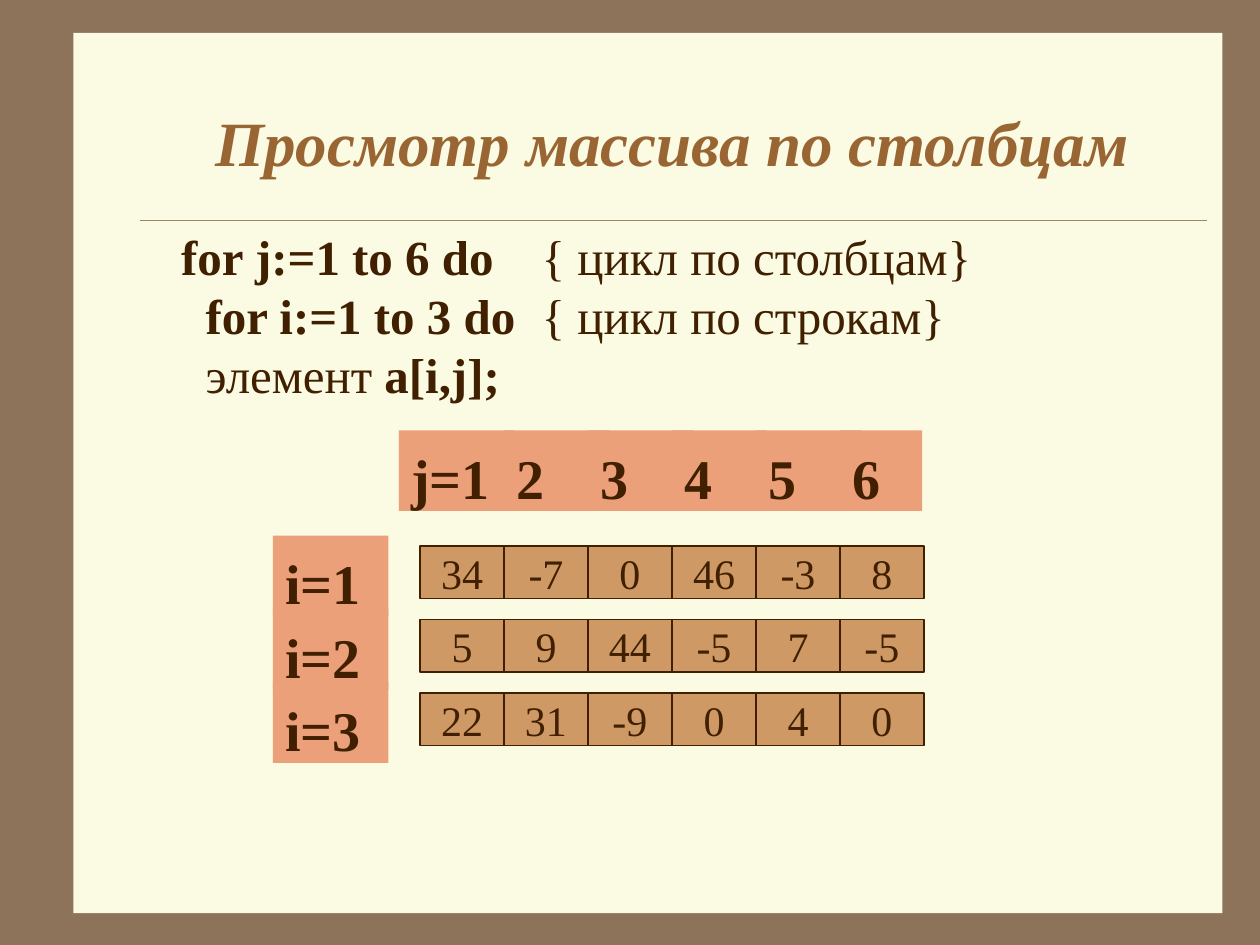
from lxml import etree
from pptx import Presentation
from pptx.dml.color import RGBColor
from pptx.enum import shapes, text
from pptx.oxml import ns
from pptx.util import Pt

COLORS = {"frame": "8C735A", "page": "FBFAE2", "rule": "A08366", "title": "996633",
          "ink": "402000", "cell": "CE9964", "label": "ECA07A"}
FONT = "Times New Roman"
MATRIX = [[34, -7, 0, 46, -3, 8], [5, 9, 44, -5, 7, -5], [22, 31, -9, 0, 4, 0]]
CODE = [
    [("for j:=1 to 6 do", True), ("\t{ цикл по столбцам}", False)],
    [("  for i:=1 to 3 do", True), ("\t{ цикл по строкам}", False)],
    [("  элемент", False), (" a[i,j];", True)],
]


def rgb(name):
    """Return the named palette colour."""
    return RGBColor.from_string(COLORS[name])


def style(font, size, color="ink", bold=False, italic=False):
    """Apply the slide's typeface with the given size and look."""
    font.name, font.size, font.bold, font.italic = FONT, Pt(size), bold, italic
    font.color.rgb = rgb(color)


def add_box(slide, left, top, width, height, fill, line=None):
    """Add a flat rectangle with an optional thin outline."""
    box = slide.shapes.add_shape(shapes.MSO_SHAPE.RECTANGLE,
                                 Pt(left), Pt(top), Pt(width), Pt(height))
    box.shadow.inherit = False
    box.fill.solid()
    box.fill.fore_color.rgb = rgb(fill)
    if line:
        box.line.color.rgb = rgb(line)
        box.line.width = Pt(0.75)
    else:
        box.line.fill.background()
    return box


def add_page(slide, left, top, width, height):
    """Draw the framed page and the rule below its title."""
    slide.background.fill.solid()
    slide.background.fill.fore_color.rgb = rgb("frame")
    add_box(slide, left, top, width, height, "page")
    rule = slide.shapes.add_connector(shapes.MSO_CONNECTOR.STRAIGHT, Pt(left + 38), Pt(top + 107.2),
                                      Pt(left + 648), Pt(top + 107.2))
    rule.line.color.rgb = rgb("rule")
    rule.line.width = Pt(0.25)
    etree.SubElement(rule._element.spPr, ns.qn("a:effectLst"))


def add_title(slide, left, top, width, height):
    """Place the centred slide title."""
    title = slide.shapes.add_textbox(Pt(left), Pt(top), Pt(width), Pt(height)).text_frame
    title.word_wrap = True
    title.vertical_anchor = text.MSO_ANCHOR.MIDDLE
    title.text = "Просмотр массива по столбцам"
    title.paragraphs[0].alignment = text.PP_ALIGN.CENTER
    style(title.paragraphs[0].runs[0].font, 36, "title", True, True)


def add_code(slide, left, top, width, height):
    """Write the nested loops with their comments aligned at a tab stop."""
    listing = slide.shapes.add_textbox(Pt(left), Pt(top), Pt(width), Pt(height)).text_frame
    listing.word_wrap = True
    for number, parts in enumerate(CODE):
        statement = listing.add_paragraph() if number else listing.paragraphs[0]
        tabs = etree.SubElement(statement._p.get_or_add_pPr(), ns.qn("a:tabLst"))
        etree.SubElement(tabs, ns.qn("a:tab"), pos=str(Pt(206)), algn="l")
        for words, bold in parts:
            part = statement.add_run()
            part.text = words
            style(part.font, 28, bold=bold)


def add_label(slide, left, top, width, words):
    """Add one bold index label."""
    label = add_box(slide, left, top, width, 46, "label").text_frame
    label.word_wrap = True
    label.vertical_anchor = text.MSO_ANCHOR.TOP
    label.margin_top = Pt(7.6)
    label.text = words
    label.paragraphs[0].alignment = text.PP_ALIGN.LEFT
    style(label.paragraphs[0].runs[0].font, 32, bold=True)


def add_cell(slide, left, top, width, height, value):
    """Add one outlined array element."""
    cell = add_box(slide, left, top, width, height, "cell", "ink").text_frame
    cell.word_wrap = False
    cell.vertical_anchor = text.MSO_ANCHOR.MIDDLE
    cell.text = str(value)
    cell.paragraphs[0].alignment = text.PP_ALIGN.CENTER
    style(cell.paragraphs[0].runs[0].font, 24)


def add_matrix(slide, left, top):
    """Lay out the array with column labels above and row labels at its left."""
    column, row = 48, 42
    add_label(slide, left + 72, top, 66, "j=1")
    for j, width in enumerate([60, 60, 54, 60, 47], start=2):
        add_label(slide, left + 84 + (j - 1) * column, top, width, str(j))
    for i, values in enumerate(MATRIX):
        add_label(slide, left, top + 60 + i * row, 66, f"i={i + 1}")
        for j, value in enumerate(values):
            add_cell(slide, left + 84 + j * column, top + 66 + i * row, column, 30, value)


def main():
    """Build and save the slide."""
    deck = Presentation()
    deck.slide_width, deck.slide_height = Pt(720), Pt(540)
    slide = deck.slides.add_slide(deck.slide_layouts[6])
    add_page(slide, 42, 18.8, 656.5, 503)
    add_title(slide, 78, 36, 612, 90)
    add_code(slide, 96.5, 126, 579, 108)
    add_matrix(slide, 156, 246)
    deck.save("out.pptx")


if __name__ == "__main__":
    main()
